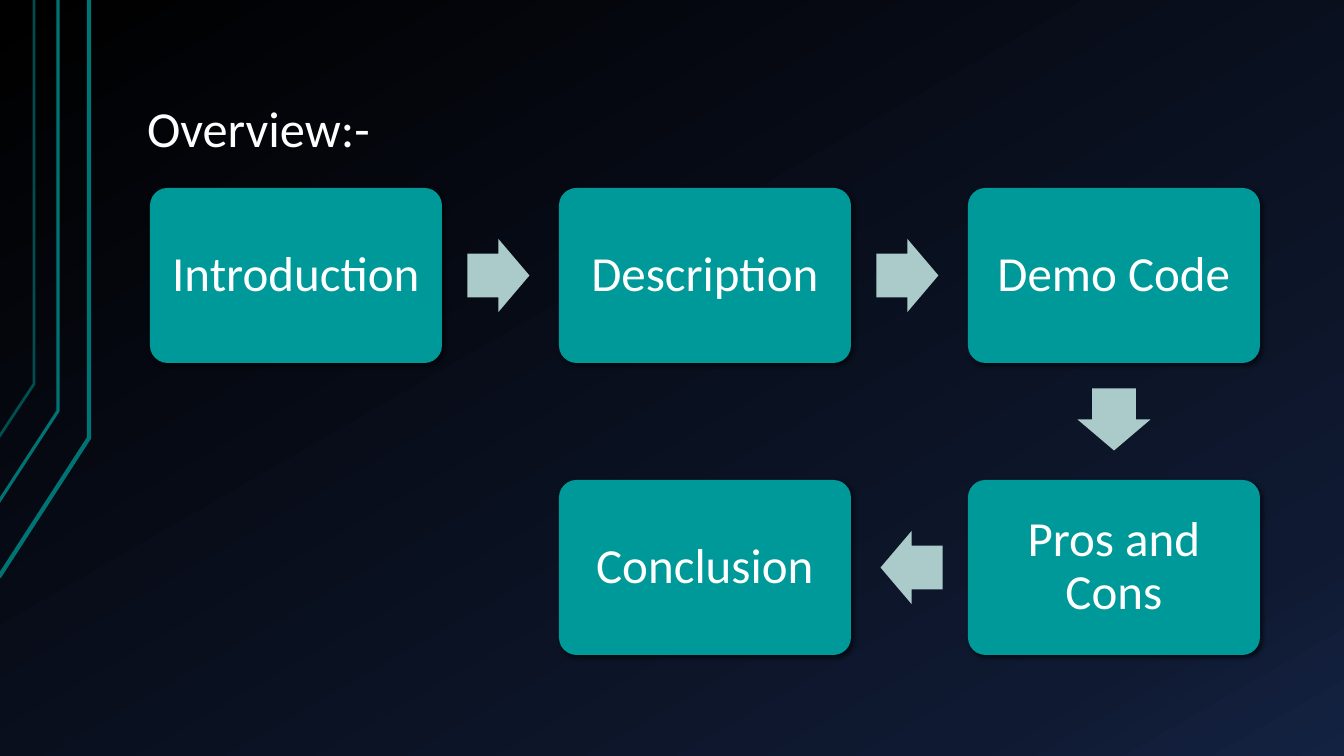
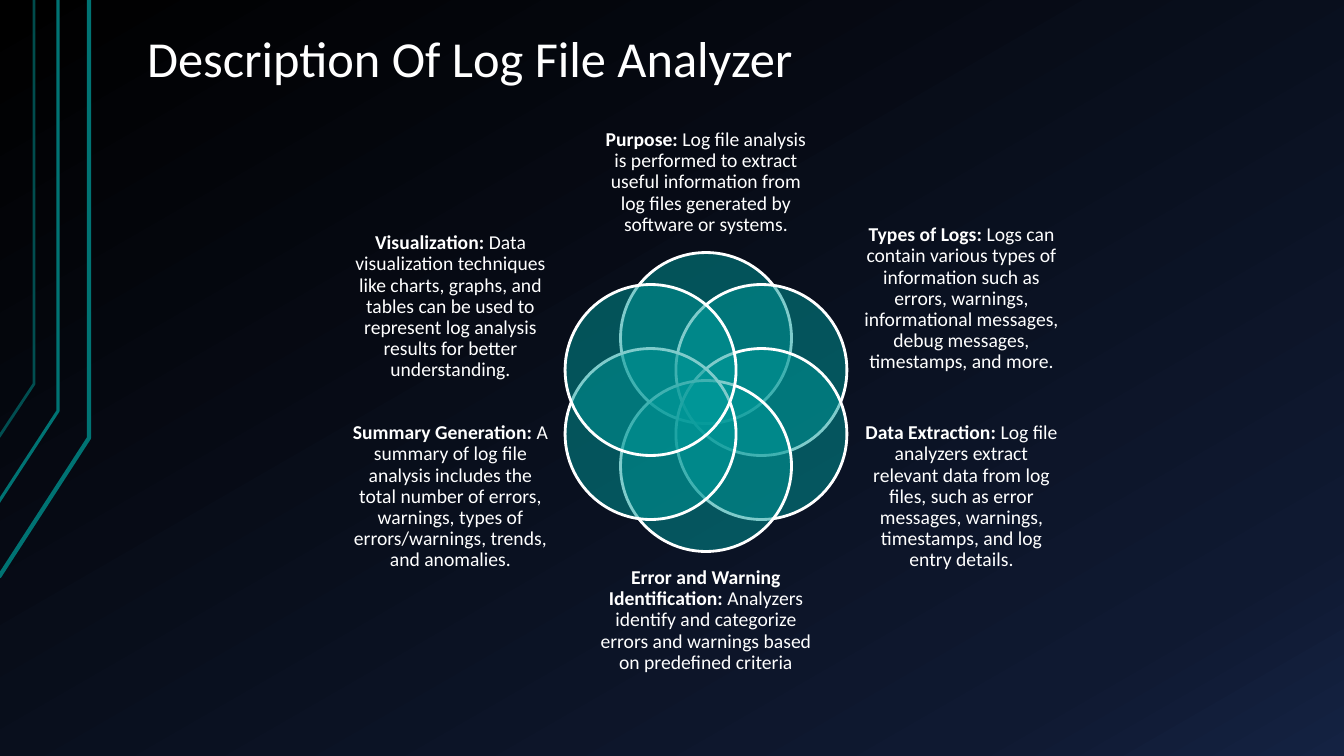
from copy import deepcopy
from itertools import pairwise
from math import atan2, cos, degrees, radians, sin

from lxml.etree import SubElement
from pptx import Presentation
from pptx.dml.color import RGBColor
from pptx.enum.shapes import MSO_SHAPE
from pptx.enum.text import MSO_ANCHOR, MSO_AUTO_SIZE, PP_ALIGN
from pptx.oxml.ns import qn
from pptx.util import Emu, Pt

# Shared style
EMU_PER_PX = 914400 / 100.8
SLIDE_SIZE = (1344, 756)
FONT = "Calibri"
WHITE, TEAL, DARK_TEAL, PALE_TEAL = "FFFFFF", "009999", "007373", "ABCACA"
BACKGROUND_STOPS = [(0, "000000"), (0.85, "0F1931"), (1, "142242")]

# Edge lines: points, line width, opacity in percent
EDGE_LINES = [
    ([(-1, 577), (89, 438), (89, 0)], 3, 100),
    ([(-2, 503), (58, 411), (58, 0)], 2.25, 100),
    ([(-1, 437), (34, 384), (34, 0)], 2, 65),
]

# Overview steps: label, column, row
STEPS = [
    ("Introduction", 0, 0),
    ("Description", 1, 0),
    ("Demo Code", 2, 0),
    ("Pros and Cons", 2, 1),
    ("Conclusion", 1, 1),
]
CARD_SIZE = (292, 175)
CARD_INSET = 12
FIRST_CARD = (150, 188)
CARD_PITCH = (409, 292)
ARROW_SIZE = (62, 73)
ARROW_SETBACK = 2

# Topics clockwise from the top: heading, explanation, text box
TOPICS = [
    ("Purpose:", " Log file analysis is performed to extract useful information "
     "from log files generated by software or systems.", (599, 124, 214, 117)),
    ("Types of Logs:", " Logs can contain various types of information such as "
     "errors, warnings, informational messages, debug messages, timestamps, "
     "and more.", (860, 224, 203, 150)),
    ("Data Extraction:", " Log file analyzers extract relevant data from log "
     "files, such as error messages, warnings, timestamps, and log entry "
     "details.", (860, 422, 203, 150)),
    ("Error and Warning Identification:", " Analyzers identify and categorize "
     "errors and warnings based on predefined criteria", (599, 562, 214, 117)),
    ("Summary Generation:", " A summary of log file analysis includes the total "
     "number of errors, warnings, types of errors/warnings, trends, and "
     "anomalies.", (349, 422, 203, 150)),
    ("Visualization:", " Data visualization techniques like charts, graphs, and "
     "tables can be used to represent log analysis results for better "
     "understanding.", (349, 232, 203, 150)),
]
RING_CENTER = (706, 402)
RING_RADIUS = 64
CIRCLE_SIZE = 171


def px(length):
    return Emu(round(length * EMU_PER_PX))


def color(value):
    return RGBColor.from_string(value)


def set_alpha(shape, color_query, percent):
    for element in shape.element.spPr.xpath(color_query):
        SubElement(element, qn("a:alpha")).set("val", str(percent * 1000))


def add_soft_shadow(shape):
    effects = shape.element.spPr.find(qn("a:effectLst"))
    shadow = SubElement(effects, qn("a:outerShdw"), blurRad=str(Pt(3)),
                        dist=str(Pt(2)), dir=str(45 * 60000))
    tint = SubElement(shadow, qn("a:srgbClr"), val="000000")
    SubElement(tint, qn("a:alpha"), val="60000")


def set_frame(frame, anchor, inset_x, inset_y):
    frame.word_wrap = True
    frame.auto_size = MSO_AUTO_SIZE.NONE
    frame.vertical_anchor = anchor
    frame.margin_left = frame.margin_right = px(inset_x)
    frame.margin_top = frame.margin_bottom = px(inset_y)


def format_para(para, size, align):
    para.alignment = align
    para.line_spacing = 0.9
    for span in para.runs:
        span.font.name = FONT
        span.font.size = Pt(size)
        span.font.color.rgb = color(WHITE)


def add_filled_shape(page, kind, left, top, width, height, fill):
    shape = page.shapes.add_shape(kind, px(left), px(top), px(width), px(height))
    shape.shadow.inherit = False
    shape.fill.solid()
    shape.fill.fore_color.rgb = color(fill)
    shape.line.fill.background()
    return shape


def add_page(deck, title, top, height):
    page = deck.slides.add_slide(deck.slide_layouts.get_by_name("Title Only"))
    box = page.shapes.title
    box.left, box.top, box.width, box.height = map(px, (134, top, 1142, height))
    box.text_frame.text = title
    set_frame(box.text_frame, MSO_ANCHOR.BOTTOM, 13, 7)
    format_para(box.text_frame.paragraphs[0], 36, PP_ALIGN.LEFT)
    return page


def set_background(master):
    fill = master.background.fill
    fill.gradient()
    fill.gradient_angle = 300
    stop_list = master.element.find(".//" + qn("a:gsLst"))
    stop_list.append(deepcopy(stop_list[-1]))
    for stop, (position, value) in zip(fill.gradient_stops, BACKGROUND_STOPS):
        stop.position = position
        stop.color.rgb = color(value)


def add_edge_lines(page, master):
    """Build the edge lines on a page, then move them to the master."""
    for number, (points, width, opacity) in enumerate(EDGE_LINES):
        builder = page.shapes.build_freeform(*points[0], scale=EMU_PER_PX)
        builder.add_line_segments(points[1:], close=False)
        line = builder.convert_to_shape()
        line.shadow.inherit = False
        line.fill.background()
        line.line.color.rgb = color(DARK_TEAL)
        line.line.width = Pt(width)
        set_alpha(line, "./a:ln/a:solidFill/a:srgbClr", opacity)
        line.element.nvSpPr.cNvPr.set("id", str(100 + number))
        master.shapes.element.append(line.element)


def add_card(page, label, center):
    width, height = CARD_SIZE
    card = add_filled_shape(page, MSO_SHAPE.ROUNDED_RECTANGLE,
                            center[0] - width / 2, center[1] - height / 2,
                            width, height, TEAL)
    card.adjustments[0] = 0.1
    add_soft_shadow(card)
    card.text_frame.text = label
    set_frame(card.text_frame, MSO_ANCHOR.MIDDLE, CARD_INSET, CARD_INSET)
    format_para(card.text_frame.paragraphs[0], 35, PP_ALIGN.CENTER)


def add_step_arrow(page, start, end):
    """Place an arrow midway between two card centers."""
    angle = atan2(end[1] - start[1], end[0] - start[0])
    center_x = (start[0] + end[0]) / 2 - ARROW_SETBACK * cos(angle)
    center_y = (start[1] + end[1]) / 2 - ARROW_SETBACK * sin(angle)
    width, height = ARROW_SIZE
    arrow = add_filled_shape(page, MSO_SHAPE.RIGHT_ARROW, center_x - width / 2,
                             center_y - height / 2, width, height, PALE_TEAL)
    arrow.adjustments[0], arrow.adjustments[1] = 0.6, 0.5
    arrow.rotation = degrees(angle)


def add_ring_circle(page, angle):
    left = RING_CENTER[0] + RING_RADIUS * cos(angle) - CIRCLE_SIZE / 2
    top = RING_CENTER[1] + RING_RADIUS * sin(angle) - CIRCLE_SIZE / 2
    circle = add_filled_shape(page, MSO_SHAPE.OVAL, left, top,
                              CIRCLE_SIZE, CIRCLE_SIZE, TEAL)
    set_alpha(circle, "./a:solidFill/a:srgbClr", 50)
    circle.line.color.rgb = color(WHITE)
    circle.line.width = Pt(2)


def add_topic_text(page, heading, explanation, place):
    box = page.shapes.add_textbox(*map(px, place))
    set_frame(box.text_frame, MSO_ANCHOR.MIDDLE, 0, 0)
    para = box.text_frame.paragraphs[0]
    for text, bold in ((heading, True), (explanation, False)):
        span = para.add_run()
        span.text = text
        span.font.bold = bold
    format_para(para, 14, PP_ALIGN.CENTER)


def build_overview(deck):
    page = add_page(deck, "Overview:-", 30, 135)
    centers = []
    for label, *cell in STEPS:
        center = [first + index * pitch + size / 2 for first, index, pitch, size
                  in zip(FIRST_CARD, cell, CARD_PITCH, CARD_SIZE)]
        add_card(page, label, center)
        centers.append(center)
    for start, end in pairwise(centers):
        add_step_arrow(page, start, end)
    return page


def build_description(deck):
    page = add_page(deck, "Description Of Log File Analyzer", 10, 85)
    for index, (heading, explanation, place) in enumerate(TOPICS):
        add_ring_circle(page, radians(index * 360 / len(TOPICS) - 90))
        add_topic_text(page, heading, explanation, place)


def main():
    deck = Presentation()
    deck.slide_width, deck.slide_height = map(px, SLIDE_SIZE)
    set_background(deck.slide_master)
    overview = build_overview(deck)
    add_edge_lines(overview, deck.slide_master)
    build_description(deck)
    deck.save("out.pptx")


if __name__ == "__main__":
    main()
